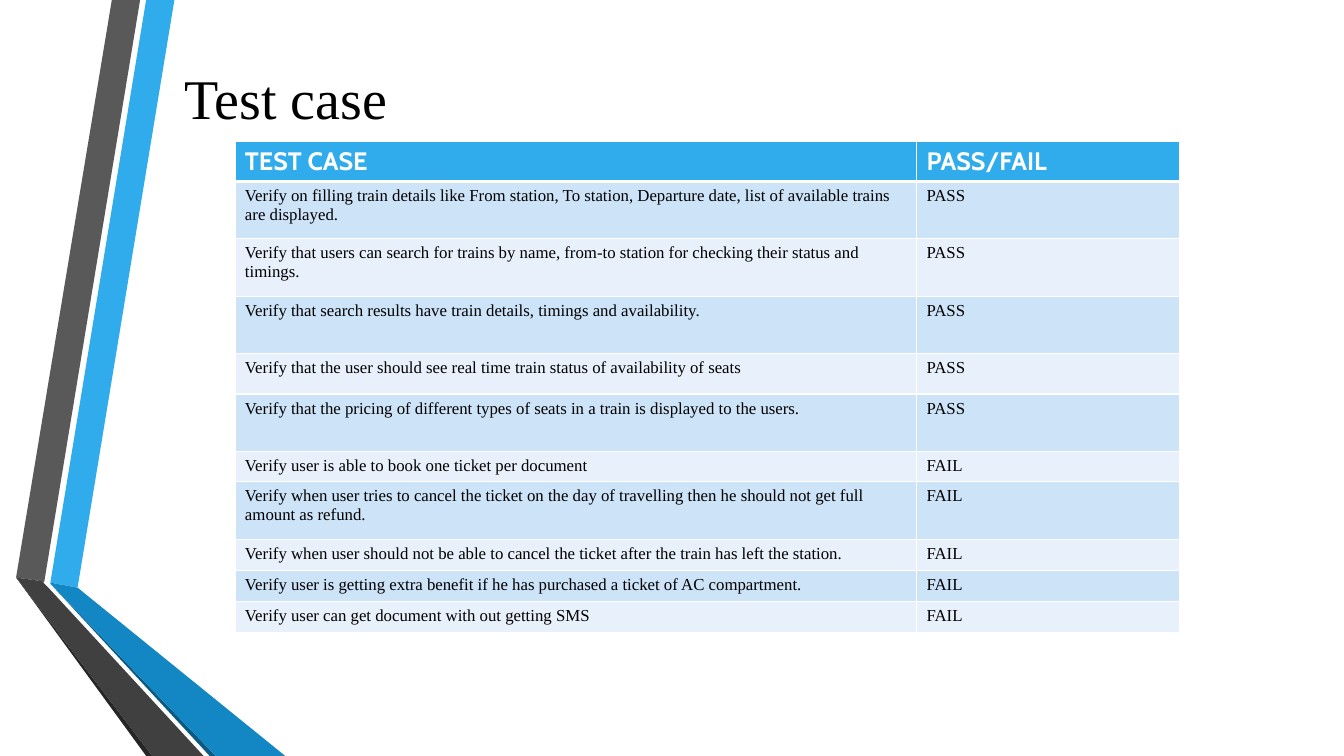
"""Build the train booking test case slide with its ribbon and results table."""
from dataclasses import dataclass

from lxml import etree
from pptx import Presentation
from pptx import util as u
from pptx.dml import color as c
from pptx.enum import text as t
from pptx.oxml import ns

EMU_PER_PX = 9144
COLORS = {
    "white": "FFFFFF", "black": "000000", "blue": "30ACEC",
    "blue_fold": "1287C3", "blue_edge": "0C5A82",
    "grey": "595959", "grey_fold": "404040", "grey_edge": "262626",
    "odd_row": "CDE3F8", "even_row": "E8F1FB",
}
SERIF = "Times New Roman"
HEADING = "Cabin"


@dataclass(frozen=True)
class Ribbon:
    color: str
    points: tuple[tuple[int, int], ...]


@dataclass(frozen=True)
class TestCase:
    description: str
    result: str
    height: int


@dataclass(frozen=True)
class TextStyle:
    font: str
    size: int
    color: str
    bold: bool = False


RIBBONS = (
    Ribbon("blue", ((50, 578), (77, 583), (173, 0), (145, 0))),
    Ribbon("grey", ((139, 0), (111, 0), (16, 573), (44, 577))),
    Ribbon("grey_edge", ((16, 573), (145, 750), (151, 750))),
    Ribbon("blue_edge", ((50, 579), (208, 750), (214, 750))),
    Ribbon("blue_fold", ((50, 578), (50, 579), (214, 750), (283, 750), (77, 583))),
    Ribbon("grey_fold", ((202, 750), (48, 583), (43, 578), (44, 577), (16, 573), (151, 750))),
)
HEADER = TestCase("TEST CASE", "PASS/FAIL", 28)
TEST_CASES = (
    TestCase("Verify on filling train details like From station, To station, Departure date, "
             "list of available trains are displayed.", "PASS", 57),
    TestCase("Verify that users can search for trains by name, from-to station for checking "
             "their status and timings.", "PASS", 57),
    TestCase("Verify that search results have train details, timings and availability.",
             "PASS", 57),
    TestCase("Verify that the user should see real time train status of availability of seats",
             "PASS", 40),
    TestCase("Verify that the pricing of different types of seats in a train is displayed to "
             "the users.", "PASS", 57),
    TestCase("Verify user is able to book one ticket per document", "FAIL", 28),
    TestCase("Verify when user tries to cancel the ticket on the day of travelling then he "
             "should not get full amount as refund.", "FAIL", 57),
    TestCase("Verify when user should not be able to cancel the ticket after the train has "
             "left the station.", "FAIL", 31),
    TestCase("Verify user is getting extra benefit if he has purchased a ticket of AC "
             "compartment.", "FAIL", 31),
    TestCase("Verify user can get document with out getting SMS", "FAIL", 31),
)
COLUMN_WIDTHS = (676, 261)
TITLE_STYLE = TextStyle(SERIF, 40, "black")
HEADER_STYLE = TextStyle(HEADING, 18, "white", True)
BODY_STYLE = TextStyle(SERIF, 12, "black")


def px(length: int) -> u.Emu:
    return u.Emu(length * EMU_PER_PX)


def rgb(name: str) -> c.RGBColor:
    return c.RGBColor.from_string(COLORS[name])


def write_text(text_frame, words: str, style: TextStyle) -> None:
    text_frame.text = words
    font = text_frame.paragraphs[0].runs[0].font
    font.name = style.font
    font.size = u.Pt(style.size)
    font.bold = style.bold
    font.color.rgb = rgb(style.color)


def draw_ribbon(slide, ribbon: Ribbon) -> None:
    start, *others = ribbon.points
    builder = slide.shapes.build_freeform(*start, scale=EMU_PER_PX)
    builder.add_line_segments(others, close=True)
    shape = builder.convert_to_shape()
    shape.shadow.inherit = False
    shape.fill.solid()
    shape.fill.fore_color.rgb = rgb(ribbon.color)
    shape.line.fill.background()


def draw_title(slide, words: str) -> None:
    text_frame = slide.shapes.add_textbox(px(173), px(0), px(1096), px(192)).text_frame
    text_frame.word_wrap = True
    text_frame.vertical_anchor = t.MSO_ANCHOR.MIDDLE
    write_text(text_frame, words, TITLE_STYLE)


def add_borders(cell, top: int, bottom: int) -> None:
    properties = cell._tc.get_or_add_tcPr()
    for side, points in (("L", 1), ("R", 1), ("T", top), ("B", bottom)):
        line = etree.SubElement(properties, ns.qn(f"a:ln{side}"), w=str(u.Pt(points)))
        fill = etree.SubElement(line, ns.qn("a:solidFill"))
        etree.SubElement(fill, ns.qn("a:srgbClr"), val=COLORS["white"])


def draw_table(slide, cases: tuple[TestCase, ...]) -> None:
    height = sum(case.height for case in cases)
    table = slide.shapes.add_table(len(cases), len(COLUMN_WIDTHS), px(233), px(140),
                                   px(sum(COLUMN_WIDTHS)), px(height)).table
    for column, width in zip(table.columns, COLUMN_WIDTHS):
        column.width = px(width)
    for index, case in enumerate(cases):
        table.rows[index].height = px(case.height)
        style = BODY_STYLE if index else HEADER_STYLE
        band = ("odd_row" if index % 2 else "even_row") if index else "blue"
        for cell, words in zip(table.rows[index].cells, (case.description, case.result)):
            write_text(cell.text_frame, words, style)
            add_borders(cell, top=3 if index == 1 else 1, bottom=1 if index else 3)
            cell.fill.solid()
            cell.fill.fore_color.rgb = rgb(band)


def main() -> None:
    presentation = Presentation()
    presentation.slide_width = px(1333)
    presentation.slide_height = px(750)
    slide = presentation.slides.add_slide(presentation.slide_layouts[6])
    for ribbon in RIBBONS:
        draw_ribbon(slide, ribbon)
    draw_title(slide, "Test case")
    draw_table(slide, (HEADER, *TEST_CASES))
    presentation.save("out.pptx")


if __name__ == "__main__":
    main()
